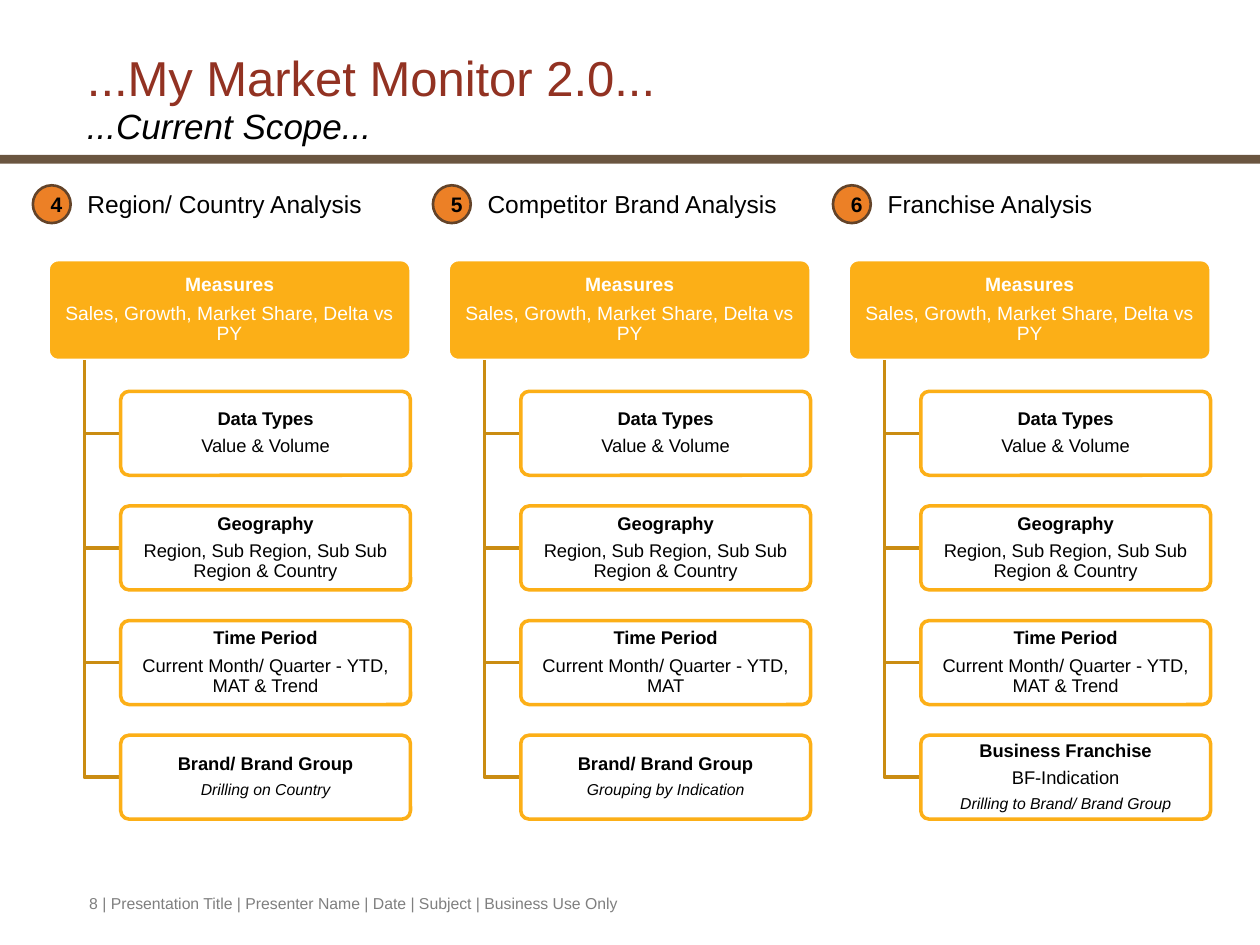
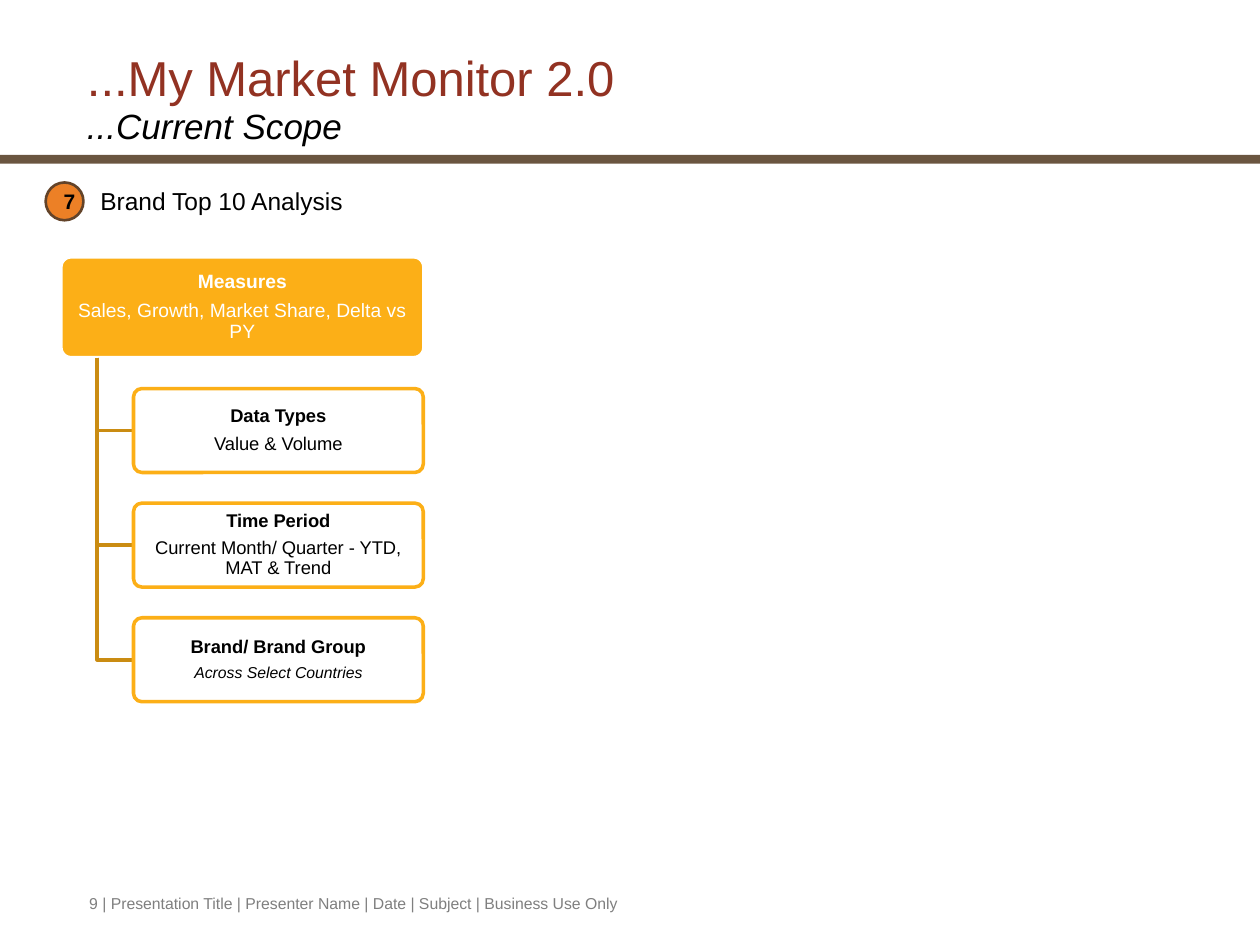
from dataclasses import dataclass

from lxml import etree
from pptx import Presentation
from pptx.dml.color import RGBColor
from pptx.enum.shapes import MSO_SHAPE
from pptx.enum.text import MSO_ANCHOR, MSO_AUTO_SIZE, PP_ALIGN
from pptx.oxml.ns import qn
from pptx.util import Pt

RECTANGLE, ROUNDED, OVAL = MSO_SHAPE.RECTANGLE, MSO_SHAPE.ROUNDED_RECTANGLE, MSO_SHAPE.OVAL
MIDDLE, BOTTOM = MSO_ANCHOR.MIDDLE, MSO_ANCHOR.BOTTOM
LEFT, CENTER = PP_ALIGN.LEFT, PP_ALIGN.CENTER
NO_AUTOFIT = MSO_AUTO_SIZE.NONE


@dataclass(frozen=True)
class Theme:
    font: str = "Arial"
    title: str = "923222"
    text: str = "000000"
    white: str = "FFFFFF"
    footer: str = "7F7F7F"
    band: str = "6A5540"
    badge: str = "EC8026"
    badge_line: str = "634329"
    amber: str = "FCAF17"
    branch: str = "CA8C12"
    title_size: float = 28
    subtitle_size: float = 20
    label_size: float = 14
    badge_size: float = 12
    measure_size: float = 11
    box_size: float = 10.5
    note_size: float = 9
    footer_size: float = 9


# Tree geometry in points; offsets are from the top left of the measures box.
COLUMN_PITCH = 228.6
MEASURES_WIDTH, MEASURES_HEIGHT = 207.4, 57.6
SPINE_X = 20.7
BOX_X, BOX_Y, BOX_PITCH = 41.5, 75.2, 65.5
BOX_WIDTH, BOX_HEIGHT = 165.6, 48
BADGE_X, BADGE_Y, BADGE_DIAMETER = -8.7, -42.5, 21.6
LABEL_X, LABEL_Y = 15.4, -43.9

# Each box holds a heading, a detail and a note; an empty string leaves a line out.
DATA_TYPES = ("Data Types", "Value & Volume", "")
GEOGRAPHY = ("Geography", "Region, Sub Region, Sub Sub Region & Country", "")
TIME_WITH_TREND = ("Time Period", "Current Month/ Quarter - YTD, MAT & Trend", "")
TIME_WITHOUT_TREND = ("Time Period", "Current Month/ Quarter - YTD, MAT", "")


def brand_group(note):
    return "Brand/ Brand Group", "", note


SLIDES = [
    {
        "page": 8,
        "title": "...My Market Monitor 2.0...",
        "subtitle": "...Current Scope...",
        "origin": (27.5, 148.4),
        "analyses": [
            ("4", "Region/ Country Analysis",
             [DATA_TYPES, GEOGRAPHY, TIME_WITH_TREND, brand_group("Drilling on Country")]),
            ("5", "Competitor Brand Analysis",
             [DATA_TYPES, GEOGRAPHY, TIME_WITHOUT_TREND, brand_group("Grouping by Indication")]),
            ("6", "Franchise Analysis",
             [DATA_TYPES, GEOGRAPHY, TIME_WITH_TREND,
              ("Business Franchise", "BF-Indication", "Drilling to Brand/ Brand Group")]),
        ],
    },
    {
        "page": 9,
        "title": "...My Market Monitor 2.0",
        "subtitle": "...Current Scope",
        "origin": (34.8, 146.8),
        "analyses": [
            ("7", "Brand Top 10 Analysis",
             [DATA_TYPES, TIME_WITH_TREND, brand_group("Across Select Countries")]),
        ],
    },
]


class Deck:
    def __init__(self, theme):
        self.theme = theme
        self.prs = Presentation()
        self.prs.slide_width, self.prs.slide_height = Pt(720), Pt(540)
        self.layout = self.prs.slide_layouts[5]
        self.slide = None

    def new_slide(self):
        self.slide = self.prs.slides.add_slide(self.layout)

    def run(self, paragraph, text, size, color, bold=False, italic=False):
        run = paragraph.add_run()
        run.text = text
        font = run.font
        font.name, font.size = self.theme.font, Pt(size)
        font.bold, font.italic = bold, italic
        font.color.rgb = RGBColor.from_string(color)

    def shape(self, kind, x, y, width, height, fill, line=None, line_width=2):
        shape = self.slide.shapes.add_shape(kind, Pt(x), Pt(y), Pt(width), Pt(height))
        shape.shadow.inherit = False
        shape.fill.solid()
        shape.fill.fore_color.rgb = RGBColor.from_string(fill)
        if line:
            shape.line.color.rgb = RGBColor.from_string(line)
            shape.line.width = Pt(line_width)
        else:
            shape.line.fill.background()
        return shape

    def layout_band(self):
        """Draw the band on the current slide, then move it to the shared layout."""
        band = self.shape(RECTANGLE, 0, 88.5, 720, 5, self.theme.band)
        self.layout.shapes.element.append(band.element)

    def title(self, text, subtitle):
        theme = self.theme
        title = self.slide.shapes.title
        title.left, title.top, title.width, title.height = Pt(42.5), Pt(25.2), Pt(653), Pt(62.6)
        frame = title.text_frame
        frame.auto_size, frame.vertical_anchor = NO_AUTOFIT, BOTTOM
        paragraph = frame.paragraphs[0]
        paragraph.alignment, paragraph.line_spacing = LEFT, 0.95
        self.run(paragraph, text, theme.title_size, theme.title)
        paragraph.add_line_break()
        line_break = next(title.element.iter(qn("a:br")))
        etree.SubElement(line_break, qn("a:rPr"), sz=str(theme.title_size * 100))
        self.run(paragraph, subtitle, theme.subtitle_size, theme.text, italic=True)

    def text_box(self, text, x, y, width, height, size, color):
        box = self.slide.shapes.add_textbox(Pt(x), Pt(y), Pt(width), Pt(height))
        box.text_frame.word_wrap = True
        self.run(box.text_frame.paragraphs[0], text, size, color)

    def footer(self, page):
        self.text_box(f"{page} | Presentation Title | Presenter Name | Date | Subject | Business Use Only",
                      43.9, 506.9, 514, 18, self.theme.footer_size, self.theme.footer)

    def badge(self, number, x, y):
        theme = self.theme
        badge = self.shape(OVAL, x, y, BADGE_DIAMETER, BADGE_DIAMETER,
                           theme.badge, theme.badge_line, 1.5)
        badge.text_frame.vertical_anchor = MIDDLE
        paragraph = badge.text_frame.paragraphs[0]
        paragraph.alignment = CENTER
        self.run(paragraph, number, theme.badge_size, theme.text, bold=True)

    def box(self, lines, x, y, width, height, size, color, fill, line):
        """Add a rounded box with its heading, detail and note lines."""
        box = self.shape(ROUNDED, x, y, width, height, fill, line)
        box.adjustments[0] = 0.1
        frame = box.text_frame
        frame.word_wrap, frame.vertical_anchor = True, MIDDLE
        frame.margin_left = frame.margin_right = frame.margin_top = frame.margin_bottom = Pt(1.5)
        heading, detail, note = lines
        styled = [(heading, size, True, False), (detail, size, False, False),
                  (note, self.theme.note_size, False, True)]
        for index, (text, text_size, bold, italic) in enumerate(entry for entry in styled if entry[0]):
            paragraph = frame.add_paragraph() if index else frame.paragraphs[0]
            paragraph.alignment, paragraph.line_spacing = CENTER, 0.9
            paragraph.space_after = Pt(round(0.4 * text_size, 1))
            self.run(paragraph, text, text_size, color, bold, italic)
        return box

    def branch(self, x, top, end_x, end_y):
        """Draw an elbow down from the measures box and across to a child box."""
        builder = self.slide.shapes.build_freeform(Pt(x), Pt(top))
        builder.add_line_segments([(Pt(x), Pt(end_y)), (Pt(end_x), Pt(end_y))], close=False)
        elbow = builder.convert_to_shape()
        elbow.shadow.inherit = False
        elbow.fill.background()
        elbow.line.color.rgb = RGBColor.from_string(self.theme.branch)
        elbow.line.width = Pt(2)

    def analysis(self, number, name, boxes, x, y):
        """Add one numbered analysis with its tree of measures."""
        theme = self.theme
        self.badge(number, x + BADGE_X, y + BADGE_Y)
        self.text_box(name, x + LABEL_X, y + LABEL_Y, 201, 24.2, theme.label_size, theme.text)
        self.box(("Measures", "Sales, Growth, Market Share, Delta vs PY", ""), x, y,
                 MEASURES_WIDTH, MEASURES_HEIGHT, theme.measure_size, theme.white,
                 theme.amber, theme.white)
        for row, lines in enumerate(boxes):
            box_x, box_y = x + BOX_X, y + BOX_Y + row * BOX_PITCH
            self.branch(x + SPINE_X, y + MEASURES_HEIGHT, box_x, box_y + BOX_HEIGHT / 2)
            box = self.box(lines, box_x, box_y, BOX_WIDTH, BOX_HEIGHT,
                           theme.box_size, theme.text, theme.white, theme.amber)
            fill_color = next(box.element.spPr.iter(qn("a:srgbClr")))
            etree.SubElement(fill_color, qn("a:alpha"), val="90000")


def main():
    deck = Deck(Theme())
    for index, content in enumerate(SLIDES):
        deck.new_slide()
        if index == 0:
            deck.layout_band()
        deck.footer(content["page"])
        deck.title(content["title"], content["subtitle"])
        left, top = content["origin"]
        for column, (number, name, boxes) in enumerate(content["analyses"]):
            deck.analysis(number, name, boxes, left + column * COLUMN_PITCH, top)
    deck.prs.save("out.pptx")


if __name__ == "__main__":
    main()
